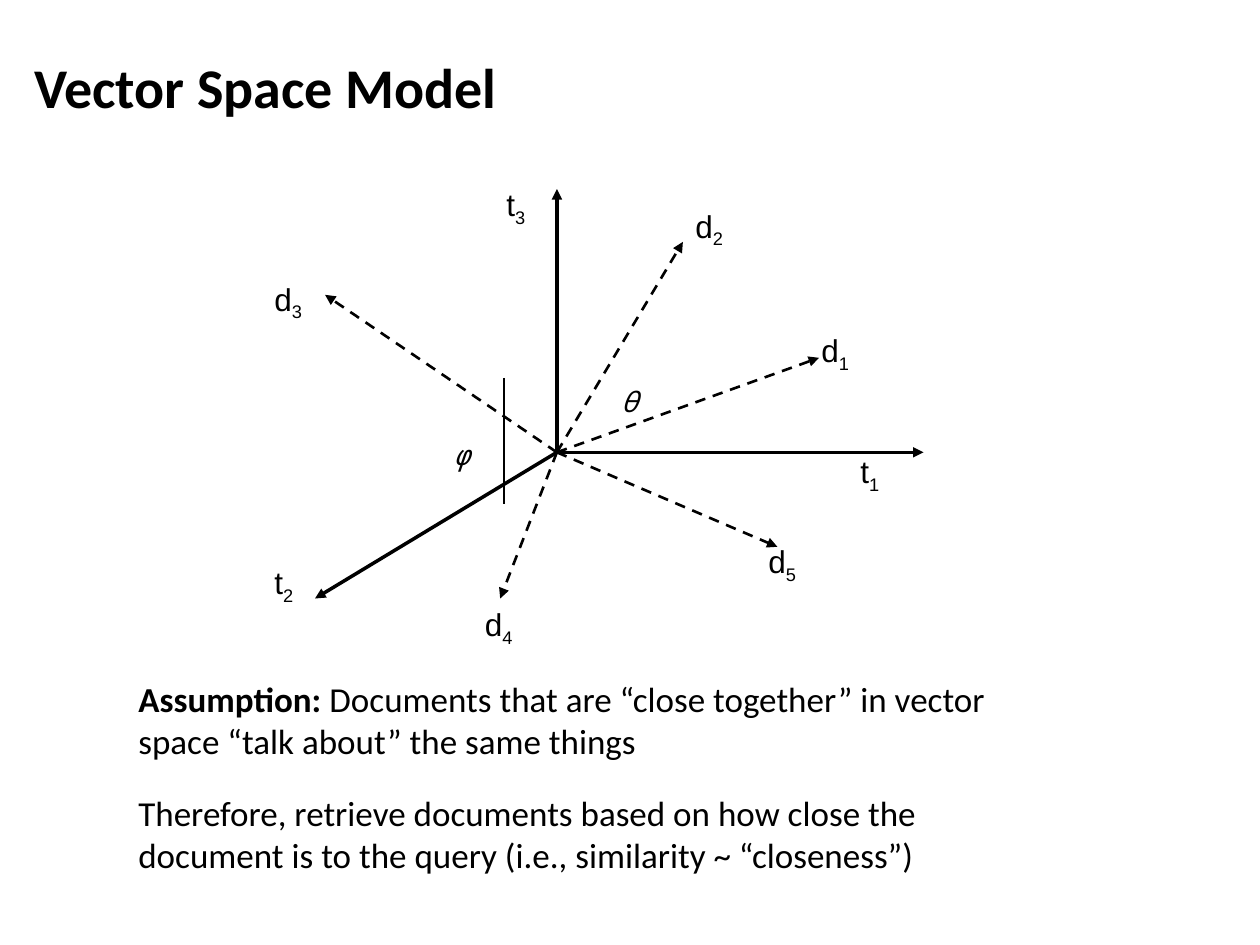
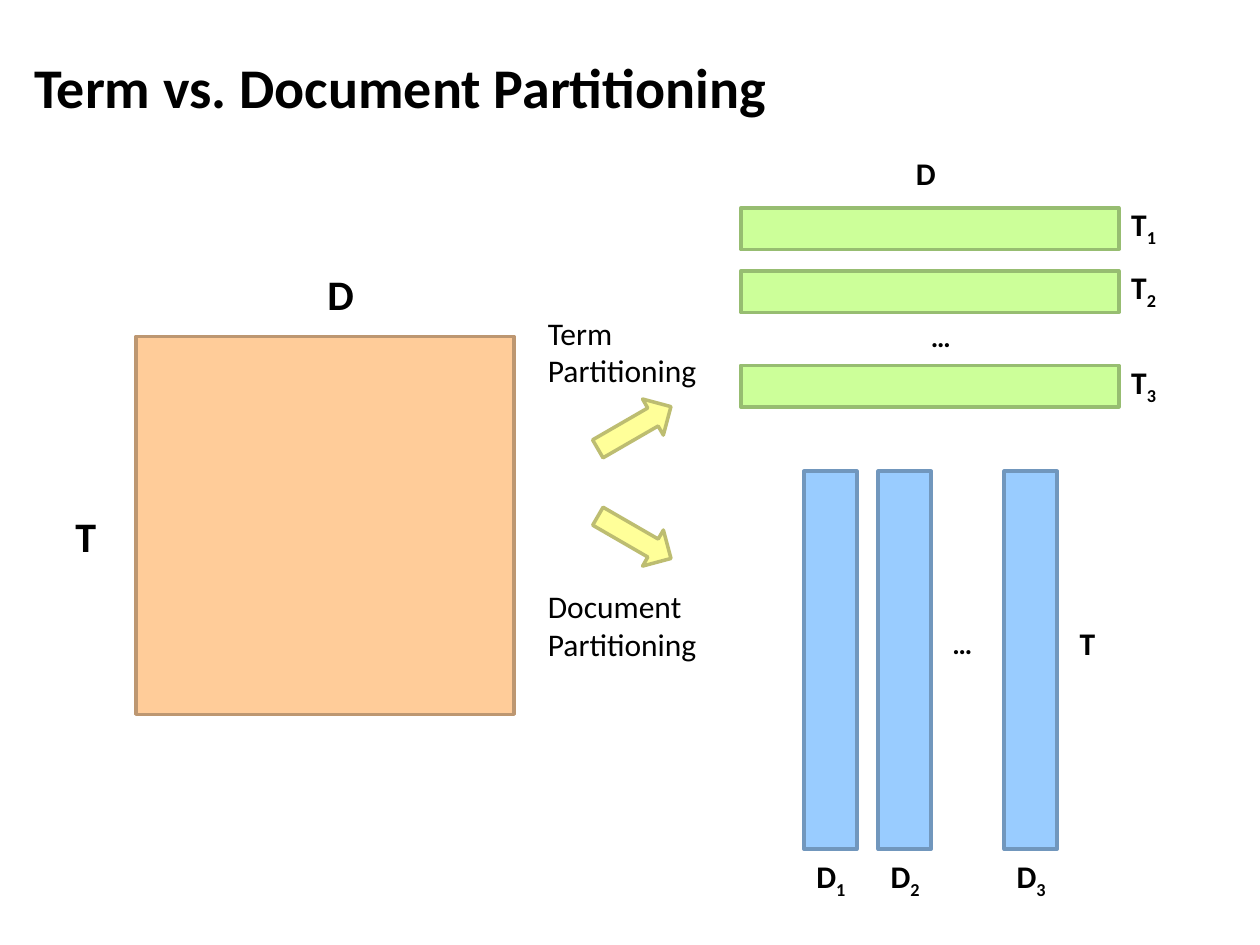
from dataclasses import dataclass

from lxml import etree
from pptx import Presentation
from pptx.dml.color import RGBColor
from pptx.enum.dml import MSO_LINE
from pptx.enum.shapes import MSO_CONNECTOR, MSO_SHAPE
from pptx.enum.text import MSO_ANCHOR, PP_ALIGN
from pptx.oxml.ns import qn
from pptx.util import Inches, Pt

RECT, ARROW = MSO_SHAPE.RECTANGLE, MSO_SHAPE.RIGHT_ARROW
STRAIGHT, DASH = MSO_CONNECTOR.STRAIGHT, MSO_LINE.DASH
LEFT, MIDDLE = PP_ALIGN.LEFT, MSO_ANCHOR.MIDDLE


@dataclass(frozen=True)
class Theme:
    ink: str = "000000"
    font: str = "Calibri"
    axis_font: str = "Arial"
    greek_font: str = "Noto Sans Mono"
    title: int = 32
    large: int = 24
    body: int = 20
    label: int = 18
    small: int = 16
    # fill and outline of each kind of block
    whole: tuple = ("FFCC99", "BD9771")
    term: tuple = ("CCFF99", "97BD71")
    doc: tuple = ("99CCFF", "7197BD")
    arrow: tuple = ("FFFF99", "BDBD71")


THEME = Theme()

# Slide 1: vectors from one origin; tip, then label corner
ORIGIN = (4.42, 3.59)
AXES = [
    ("t", "1", (7.33, 3.59), (6.73, 3.54)),
    ("t", "2", (2.5, 4.75), (2.08, 4.42)),
    ("t", "3", (4.42, 1.5), (3.92, 1.42)),
]
DOCS = [
    ("d", "1", (6.5, 2.84), (6.42, 2.58)),
    ("d", "2", (5.42, 1.92), (5.42, 1.59)),
    ("d", "3", (2.58, 2.34), (2.08, 2.17)),
    ("d", "4", (3.97, 4.75), (3.75, 4.75)),
    ("d", "5", (6.17, 4.34), (6, 4.25)),
]
# Angle arcs: start point, then cubic curves (two controls and an end)
ANGLES = [
    ("θ", (4.83, 3), (4.67, 3.25), [
        ((4.73, 3.24), (4.79, 3.22), (4.83, 3.25)),
        ((4.88, 3.28), (4.9, 3.39), (4.92, 3.42)),
    ]),
    ("φ", (3.5, 3.42), (4.17, 3.42), [
        ((4.1, 3.44), (4.04, 3.46), (4, 3.5)),
        ((3.96, 3.54), (3.92, 3.6), (3.92, 3.67)),
        ((3.92, 3.74), (3.94, 3.86), (4, 3.92)),
        ((4.06, 3.97), (4.22, 4.02), (4.25, 4)),
    ]),
]
NOTES = [
    (5.33, "Assumption: ", "Documents that are “close together” in vector space "
     "“talk about” the same things"),
    (6.23, "", "Therefore, retrieve documents based on how close the document "
     "is to the query (i.e., similarity ~ “closeness”)"),
]

# Slide 2: one matrix, cut into rows or into columns
SIDE = 3
ROW_LEFT, ROW_TOPS, ROW_HIGH = 5.88, (1.65, 2.15, 2.9), 0.33
COL_TOP, COL_LEFTS, COL_WIDE = 3.74, (6.38, 6.97, 7.97), 0.42
MARKS = [
    ("T", THEME.large, (0.5, 4, 0.46, 0.5)),
    ("D", THEME.large, (2.5, 2.08, 0.48, 0.5)),
    ("D", THEME.label, (7.17, 1.17, 0.41, 0.4)),
    ("T", THEME.label, (8.47, 4.9, 0.4, 0.4)),
    ("…", THEME.small, (7.29, 2.49, 0.43, 0.37)),
    ("…", THEME.small, (7.46, 4.92, 0.43, 0.37)),
]
# Caption, its top, arrow top, arrow turn
WAYS = [
    ("Term\nPartitioning", 2.44, 3.23, 330),
    ("Document\nPartitioning", 4.61, 4.1, 30),
]


def color(code):
    return RGBColor.from_string(code)


def write(para, text, size=THEME.label, font=THEME.font, bold=False,
          italic=False, base=0):
    """Add runs to a paragraph, with a line break at each newline."""
    for i, line in enumerate(text.split("\n")):
        if i:
            para.add_line_break()
        run = para.add_run()
        run.text = line
        face = run.font
        face.name, face.size = font, Pt(size)
        face.bold, face.italic = bold, italic
        face.color.rgb = color(THEME.ink)
        if base:
            run._r.get_or_add_rPr().set("baseline", str(base * 1000))


def add_text(slide, box, text, lead="", sub="", wrap=False, **style):
    """Add a text box with an optional bold lead and a subscript."""
    frame = slide.shapes.add_textbox(*map(Inches, box)).text_frame
    frame.word_wrap = wrap
    para = frame.paragraphs[0]
    if lead:
        write(para, lead, **{**style, "bold": True})
    write(para, text, **style)
    if sub:
        write(para, sub, base=-25, **style)


def add_slide(deck, title):
    slide = deck.slides.add_slide(deck.slide_layouts[5])
    head = slide.shapes.title
    head.left, head.top, head.width, head.height = map(
        Inches, (0.17, 0.12, 9.5, 1.12))
    frame = head.text_frame
    frame.vertical_anchor = MIDDLE
    para = frame.paragraphs[0]
    para.alignment = LEFT
    write(para, title, size=THEME.title, bold=True)
    return slide


def add_vector(slide, tip, width, dash=None):
    link = slide.shapes.add_connector(STRAIGHT, *map(Inches, ORIGIN + tip))
    link.line.color.rgb = color(THEME.ink)
    link.line.width = Pt(width)
    if dash:
        link.line.dash_style = dash
    etree.SubElement(link.line._get_or_add_ln(), qn("a:tailEnd"), type="triangle")
    etree.SubElement(link._element.spPr, qn("a:effectLst"))


def trace(start, curves, steps=10):
    """Points along a chain of cubic curves."""
    for one, two, end in curves:
        for i in range(1, steps + 1):
            t = i / steps
            u = 1 - t
            yield tuple(u**3 * a + 3 * u * u * t * b + 3 * u * t * t * c + t**3 * d
                        for a, b, c, d in zip(start, one, two, end))
        start = end


def add_arc(slide, start, curves):
    pen = slide.shapes.build_freeform(*start, scale=Inches(1))
    pen.add_line_segments(trace(start, curves), close=False)
    arc = pen.convert_to_shape()
    arc.shadow.inherit = False
    arc.fill.background()
    arc.line.color.rgb = color(THEME.ink)
    arc.line.width = Pt(0.75)


def add_block(slide, kind, box, look, turn=0):
    block = slide.shapes.add_shape(kind, *map(Inches, box))
    fill, edge = look
    block.shadow.inherit = False
    block.fill.solid()
    block.fill.fore_color.rgb = color(fill)
    block.line.color.rgb = color(edge)
    block.line.width = Pt(2)
    block.rotation = turn


def draw_space(deck):
    slide = add_slide(deck, "Vector Space Model")
    for group, width, dash, wide in ((AXES, 2, None, 0.36), (DOCS, 1.5, DASH, 0.43)):
        for name, sub, tip, spot in group:
            add_vector(slide, tip, width, dash)
            add_text(slide, (*spot, wide, 0.4), name, sub=sub, font=THEME.axis_font)
    for name, spot, start, curves in ANGLES:
        add_arc(slide, start, curves)
        add_text(slide, (*spot, 0.3, 0.37), name, wrap=True, italic=True,
                 size=THEME.small, font=THEME.greek_font)
    for top, lead, text in NOTES:
        add_text(slide, (1, top, 7.5, 0.77), text, lead=lead, wrap=True,
                 size=THEME.body)


def draw_split(deck):
    slide = add_slide(deck, "Term vs. Document Partitioning")
    add_block(slide, RECT, (1.08, 2.67, SIDE, SIDE), THEME.whole)
    for i, (top, left) in enumerate(zip(ROW_TOPS, COL_LEFTS), 1):
        add_block(slide, RECT, (ROW_LEFT, top, SIDE, ROW_HIGH), THEME.term)
        add_text(slide, (ROW_LEFT + SIDE, top - 0.07, 0.5, 0.4), "T", sub=str(i),
                 bold=True)
        add_block(slide, RECT, (left, COL_TOP, COL_WIDE, SIDE), THEME.doc)
        add_text(slide, (left, COL_TOP + SIDE + 0.01, 0.51, 0.4), "D", sub=str(i),
                 bold=True)
    for text, size, box in MARKS:
        add_text(slide, box, text, size=size, bold=True)
    for text, top, tip, turn in WAYS:
        add_block(slide, ARROW, (4.7, tip, 0.67, 0.33), THEME.arrow, turn)
        add_text(slide, (4.25, top, 1.38, 0.71), text)


def main():
    deck = Presentation()
    deck.slide_width, deck.slide_height = Inches(10), Inches(7.5)
    draw_space(deck)
    draw_split(deck)
    deck.save("out.pptx")


if __name__ == "__main__":
    main()
